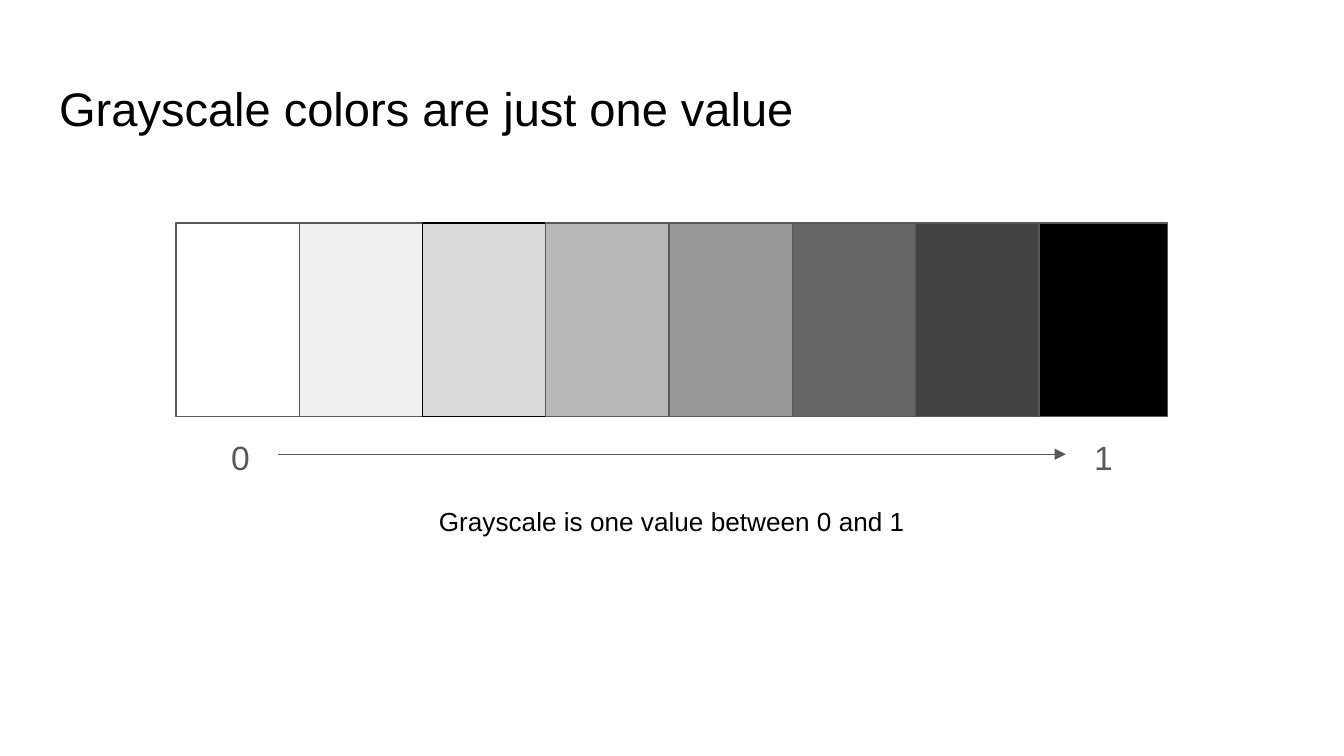
from lxml import etree
from pptx import Presentation
from pptx import util as u
from pptx.dml.color import RGBColor
from pptx.enum import shapes, text
from pptx.oxml.ns import qn

GRAY = "595959"
SHADES = ["FFFFFF", "EFEFEF", "D9D9D9", "B7B7B7",
          "999999", "666666", "434343", "000000"]


def color(target, value):
    """Give a fill or a font a solid colour from a hex string."""
    if hasattr(target, "solid"):
        target.solid()
        target.fore_color.rgb = RGBColor.from_string(value)
    else:
        target.color.rgb = RGBColor.from_string(value)


def write(shape, words, size, value, alignment):
    frame = shape.text_frame
    frame.text = words
    frame.word_wrap = True
    frame.auto_size = text.MSO_AUTO_SIZE.NONE
    frame.margin_left = frame.margin_right = u.Inches(0.1)
    frame.margin_top = frame.margin_bottom = u.Inches(0.1)
    frame.vertical_anchor = text.MSO_ANCHOR.TOP
    paragraph = frame.paragraphs[0]
    paragraph.alignment = alignment
    font = paragraph.runs[0].font
    font.name, font.size = "Arial", u.Pt(size)
    color(font, value)


# A 16:9 slide, 10 inches wide
presentation = Presentation()
presentation.slide_width = u.Inches(10)
presentation.slide_height = presentation.slide_width * 9 // 16
slide = presentation.slides.add_slide(presentation.slide_layouts[5])
center = presentation.slide_width // 2

# Title
title = slide.shapes.title
title.left, title.top = u.Inches(0.34), u.Inches(0.49)
title.width, title.height = presentation.slide_width - 2 * title.left, u.Inches(0.63)
write(title, "Grayscale colors are just one value", 25.2, "000000", text.PP_ALIGN.LEFT)

# Caption, centred on the slide
caption_width = u.Inches(4.17)
caption = slide.shapes.add_textbox(center - caption_width // 2, u.Inches(3.66),
                                   caption_width, u.Inches(0.46))
write(caption, "Grayscale is one value between 0 and 1", 14, "000000", text.PP_ALIGN.CENTER)

# Swatches, overlapping slightly from left to right
swatch_width = u.Inches(0.96)
first_left = u.Inches(1.31)
last_left = presentation.slide_width - first_left - swatch_width
pitch = (last_left - first_left) / (len(SHADES) - 1)
for column, shade in enumerate(SHADES):
    swatch = slide.shapes.add_shape(shapes.MSO_SHAPE.RECTANGLE,
                                    round(first_left + column * pitch), u.Inches(1.66),
                                    swatch_width, u.Inches(1.44))
    swatch.shadow.inherit = False
    color(swatch.fill, shade)
    color(swatch.line.fill, "000000" if shade == "D9D9D9" else GRAY)
    swatch.line.width = u.Pt(0.75)

# Scale ends, each centred under its swatch
label_width = u.Inches(0.56)
labels = []
for words, swatch_left in (("0", first_left), ("1", last_left)):
    label = slide.shapes.add_textbox(swatch_left + (swatch_width - label_width) // 2,
                                     u.Inches(3.15), label_width, u.Inches(0.46))
    write(label, words, 18, GRAY, text.PP_ALIGN.CENTER)
    labels.append(label)

# Arrow from 0 to 1
arrow = slide.shapes.add_connector(shapes.MSO_CONNECTOR.STRAIGHT, 0, 0, 0, 0)
arrow.begin_connect(labels[0], 3)
arrow.end_connect(labels[1], 1)
color(arrow.line.fill, GRAY)
arrow.line.width = u.Pt(0.75)
properties = arrow._element.spPr
etree.SubElement(properties.find(qn("a:ln")), qn("a:tailEnd"), type="triangle")
etree.SubElement(properties, qn("a:effectLst"))

presentation.save("out.pptx")
